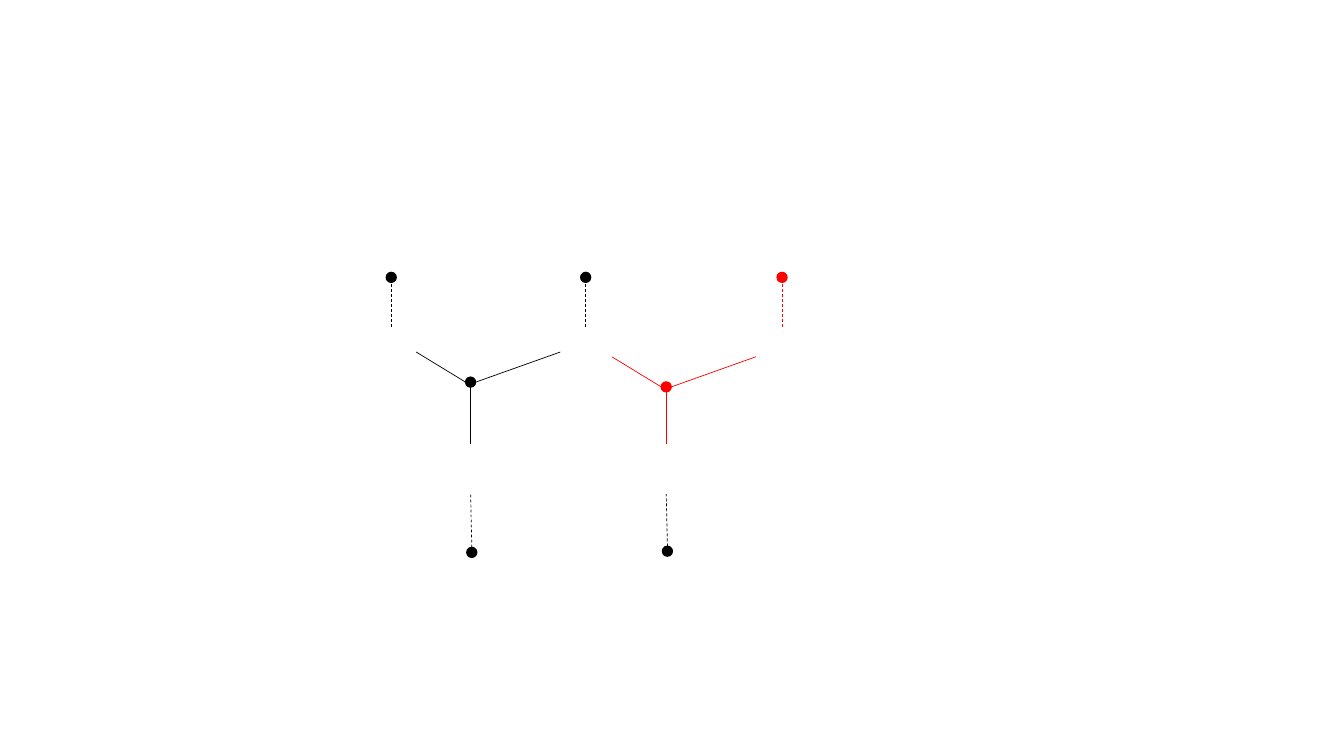
from lxml.etree import SubElement
from pptx import Presentation
from pptx.dml.color import RGBColor
from pptx.enum.dml import MSO_LINE
from pptx.enum.shapes import MSO_CONNECTOR as Connector, MSO_SHAPE as Shape
from pptx.oxml.ns import qn
from pptx.util import Cm, Pt

BLACK = RGBColor(0x00, 0x00, 0x00)
RED = RGBColor(0xFF, 0x00, 0x00)

DOT = 0.25
RADIUS = DOT / 2
LEAF_Y = 6.99
LEAF_LINK_END = 8.23
STEM_END = 11.18
ROOT_LINK_START = 12.45


def add_dot(slide, x, y, color):
    """Draw a node centred on (x, y), in centimetres."""
    dot = slide.shapes.add_shape(
        Shape.OVAL, Cm(x - RADIUS), Cm(y - RADIUS), Cm(DOT), Cm(DOT))
    dot.shadow.inherit = False
    dot.fill.solid()
    dot.fill.fore_color.rgb = color
    dot.line.color.rgb = color
    dot.line.width = Pt(1)


def add_edge(slide, start, end, color, dashed=False):
    edge = slide.shapes.add_connector(
        Connector.STRAIGHT, *(Cm(value) for value in (*start, *end)))
    edge.line.color.rgb = color
    edge.line.width = Pt(0.5)
    if dashed:
        edge.line.dash_style = MSO_LINE.DASH
    SubElement(edge._element.spPr, qn("a:effectLst"))


def add_fork(slide, x, y, color):
    """Draw a branching node with two upward arms and a stem."""
    arm_rise = 0.76
    add_dot(slide, x, y, color)
    add_edge(slide, (x - RADIUS, y), (x - 1.37, y - arm_rise), color)
    add_edge(slide, (x + 2.26, y - arm_rise), (x + RADIUS, y), color)
    add_edge(slide, (x, y + RADIUS), (x, STEM_END), color)


def add_leaf(slide, x, color):
    add_dot(slide, x, LEAF_Y, color)
    add_edge(slide, (x, LEAF_LINK_END), (x, LEAF_Y + RADIUS), color, dashed=True)


def add_root(slide, x, y, stem_x):
    add_dot(slide, x, y, BLACK)
    add_edge(slide, (x, y - RADIUS), (stem_x, ROOT_LINK_START), BLACK, dashed=True)


def main():
    deck = Presentation()
    deck.slide_width, deck.slide_height = Cm(33.87), Cm(19.05)
    slide = deck.slides.add_slide(deck.slide_layouts.get_by_name("Blank"))

    for fork_x, fork_y, color, root_x, root_y in (
            (11.86, 9.63, BLACK, 11.89, 13.92),
            (16.79, 9.75, RED, 16.82, 13.89)):
        add_fork(slide, fork_x, fork_y, color)
        add_root(slide, root_x, root_y, stem_x=fork_x)

    for leaf_x, color in ((9.86, BLACK), (14.76, BLACK), (19.71, RED)):
        add_leaf(slide, leaf_x, color)

    deck.save("out.pptx")


if __name__ == "__main__":
    main()
